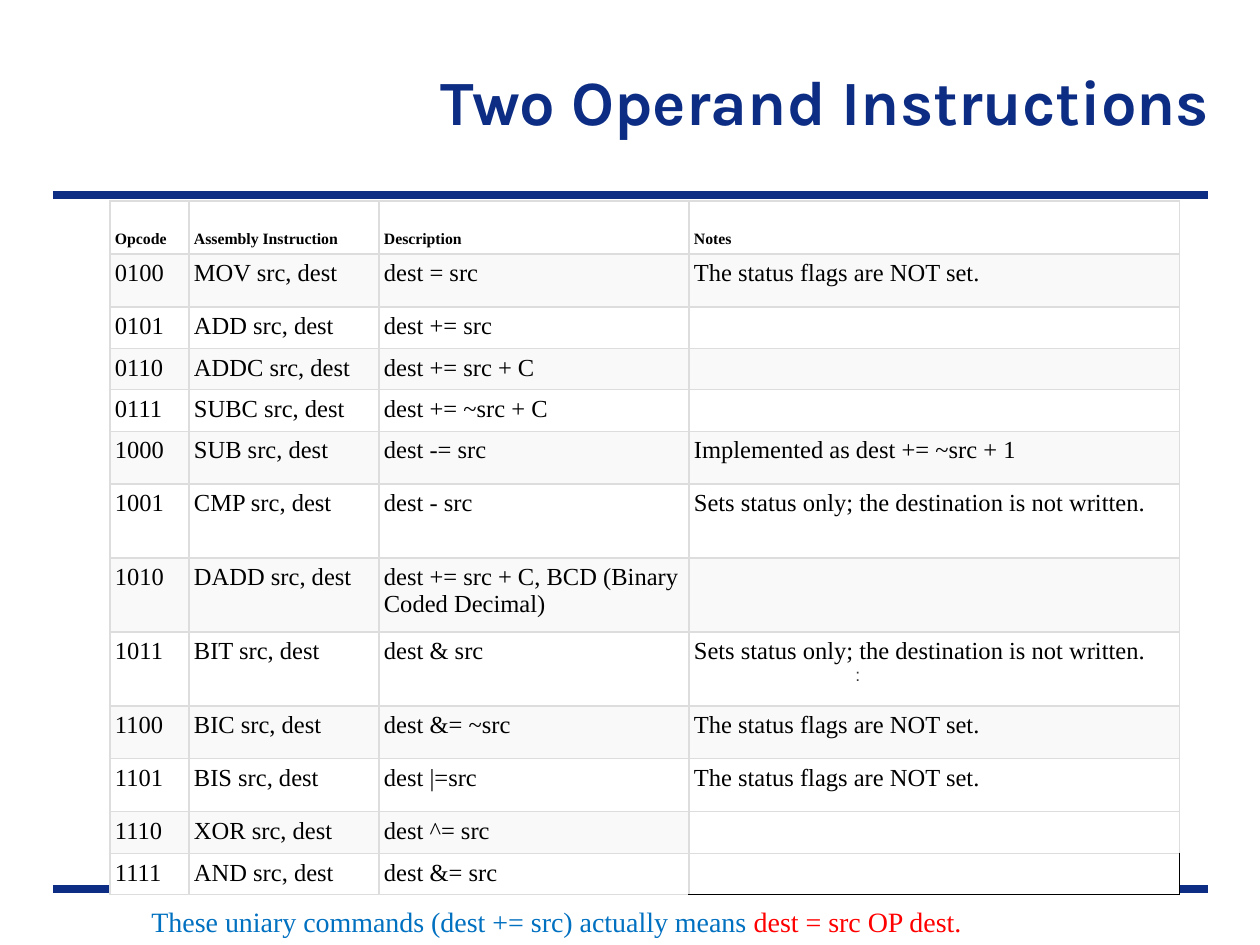
from lxml import etree
from pptx import Presentation
from pptx.dml.color import RGBColor
from pptx.enum.shapes import MSO_CONNECTOR, MSO_SHAPE
from pptx.enum.text import MSO_ANCHOR, PP_ALIGN
from pptx.oxml.ns import qn
from pptx.util import Emu, Pt

STRAIGHT = MSO_CONNECTOR.STRAIGHT
RECTANGLE = MSO_SHAPE.RECTANGLE
TOP, MIDDLE, BOTTOM = MSO_ANCHOR.TOP, MSO_ANCHOR.MIDDLE, MSO_ANCHOR.BOTTOM
LEFT, RIGHT = PP_ALIGN.LEFT, PP_ALIGN.RIGHT

PIXELS_PER_INCH = 126
SERIF = "Times New Roman"
COLORS = {
    "navy": "0C2D83",
    "black": "000000",
    "white": "FFFFFF",
    "band": "F9F9F9",
    "border": "DDDDDD",
    "gray": "333333",
    "blue": "0070C0",
    "red": "FF0000",
}
COLUMN_WIDTHS = [79, 190, 310, 491]
SHORT, MEDIUM, TALL = 39, 53, 74
HEADER = ("Opcode", "Assembly Instruction", "Description", "Notes")
FLAGS_NOTE = "The status flags are NOT set."
STATUS_NOTE = "Sets status only; the destination is not written."
INSTRUCTIONS = [
    (MEDIUM, "MOV", "dest = src", FLAGS_NOTE),
    (SHORT, "ADD", "dest += src", ""),
    (SHORT, "ADDC", "dest += src + C", ""),
    (SHORT, "SUBC", "dest += ~src + C", ""),
    (MEDIUM, "SUB", "dest -= src", "Implemented as dest += ~src + 1"),
    (TALL, "CMP", "dest - src", STATUS_NOTE),
    (TALL, "DADD", "dest += src + C, BCD (Binary Coded Decimal)", ""),
    (TALL, "BIT", "dest & src", STATUS_NOTE),
    (MEDIUM, "BIC", "dest &= ~src", FLAGS_NOTE),
    (MEDIUM, "BIS", "dest |=src", FLAGS_NOTE),
    (SHORT, "XOR", "dest ^= src", ""),
    (SHORT, "AND", "dest &= src", ""),
]
FIRST_OPCODE = 4


def px(value):
    return Emu(round(value * 914400 / PIXELS_PER_INCH))


def rgb(name):
    return RGBColor.from_string(COLORS[name])


def add_run(paragraph, text, size, color, font=SERIF, bold=False):
    run = paragraph.add_run()
    run.text = text
    run.font.name = font
    run.font.size = Pt(size)
    run.font.bold = bold
    run.font.color.rgb = rgb(color)


def add_rule(slide, y):
    rule = slide.shapes.add_connector(STRAIGHT, px(53), px(y), px(1208), px(y))
    rule.line.color.rgb = rgb("navy")
    rule.line.width = Pt(4.5)
    etree.SubElement(rule._element.spPr, qn("a:effectLst"))


def add_text(slide, left, top, width, height, anchor=TOP, align=LEFT, wrap=True):
    box = slide.shapes.add_textbox(px(left), px(top), px(width), px(height))
    frame = box.text_frame
    frame.word_wrap = wrap
    frame.vertical_anchor = anchor
    frame.paragraphs[0].alignment = align
    return frame


def add_caption(slide):
    caption = slide.shapes.add_shape(RECTANGLE, px(139), px(898), px(1014), px(47))
    caption.shadow.inherit = False
    caption.fill.solid()
    caption.fill.fore_color.rgb = rgb("white")
    caption.line.fill.background()
    caption.text_frame.word_wrap = True
    caption.text_frame.vertical_anchor = TOP
    paragraph = caption.text_frame.paragraphs[0]
    paragraph.alignment = LEFT
    add_run(paragraph, "These uniary commands (dest += src) actually means ", 16, "blue")
    add_run(paragraph, "dest = src OP dest.", 16, "red")


def set_borders(cell, colors):
    properties = cell._tc.get_or_add_tcPr()
    for side, color in zip("LRTB", colors):
        line = etree.SubElement(properties, qn(f"a:ln{side}"), w=str(Pt(0.75)))
        fill = etree.SubElement(line, qn("a:solidFill"))
        etree.SubElement(fill, qn("a:srgbClr"), val=COLORS[color])


def fill_cell(cell, text, fill, borders, is_header):
    set_borders(cell, borders)
    cell.fill.solid()
    cell.fill.fore_color.rgb = rgb(fill)
    cell.margin_left = cell.margin_right = px(5)
    cell.margin_top = cell.margin_bottom = px(6)
    cell.vertical_anchor = BOTTOM if is_header else TOP
    paragraph = cell.text_frame.paragraphs[0]
    size = 9 if is_header else 14
    if text:
        add_run(paragraph, text, size, "black", bold=is_header)
    else:
        etree.SubElement(paragraph._p, qn("a:endParaRPr"), sz=str(size * 100))


def add_instruction_table(slide):
    rows = [(MEDIUM, HEADER)]
    for opcode, (height, name, description, note) in enumerate(INSTRUCTIONS, FIRST_OPCODE):
        rows.append((height, (f"{opcode:04b}", f"{name} src, dest", description, note)))
    total_height = sum(height for height, _ in rows)
    table = slide.shapes.add_table(
        len(rows), len(COLUMN_WIDTHS), px(110), px(201),
        px(sum(COLUMN_WIDTHS)), px(total_height),
    ).table
    table.first_row = False
    table.horz_banding = False
    for column, width in zip(table.columns, COLUMN_WIDTHS):
        column.width = px(width)
    last_cell = (len(rows) - 1, len(COLUMN_WIDTHS) - 1)
    plain_cell = (len(rows) - 2, len(COLUMN_WIDTHS) - 1)
    for row, (height, texts) in enumerate(rows):
        table.rows[row].height = px(height)
        for column, text in enumerate(texts):
            position = (row, column)
            fill = "band" if row % 2 and position != plain_cell else "white"
            outer = "black" if position == last_cell else "border"
            borders = ("border", outer, "border", outer)
            fill_cell(table.cell(row, column), text, fill, borders, row == 0)


def main():
    presentation = Presentation()
    presentation.slide_width = px(1260)
    presentation.slide_height = px(945)
    slide = presentation.slides.add_slide(presentation.slide_layouts[6])
    for y in (889, 195):
        add_rule(slide, y)
    title = add_text(slide, 252, 25, 970, 151, MIDDLE, RIGHT)
    add_run(title.paragraphs[0], "Two Operand Instructions", 36, "navy", "Karla", True)
    add_instruction_table(slide)
    colon = add_text(slide, 843, 656, 30, 72, wrap=False)
    colon.margin_top = px(8)
    add_run(colon.paragraphs[0], ":", 10, "gray", "Arial")
    add_caption(slide)
    presentation.save("out.pptx")


if __name__ == "__main__":
    main()
